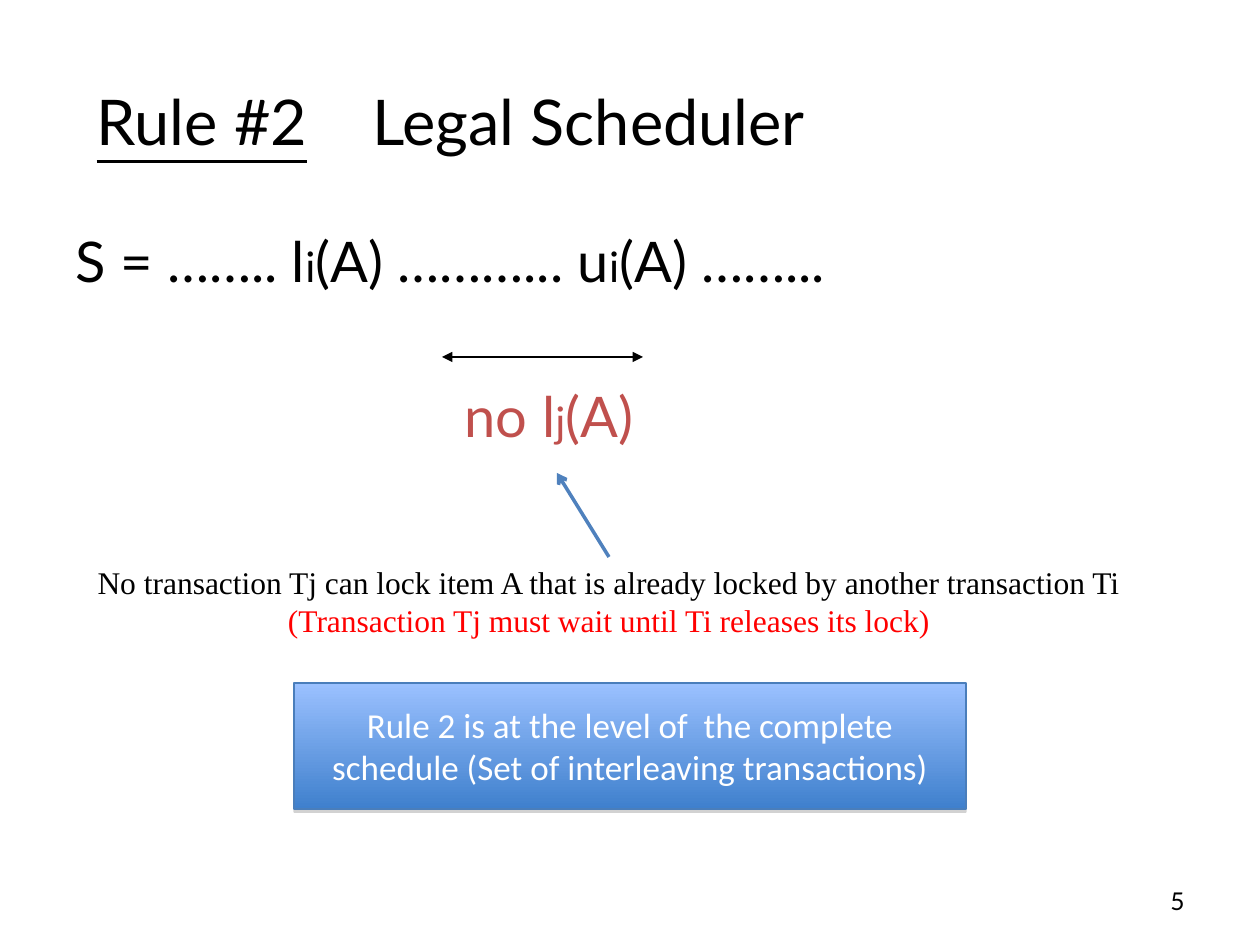
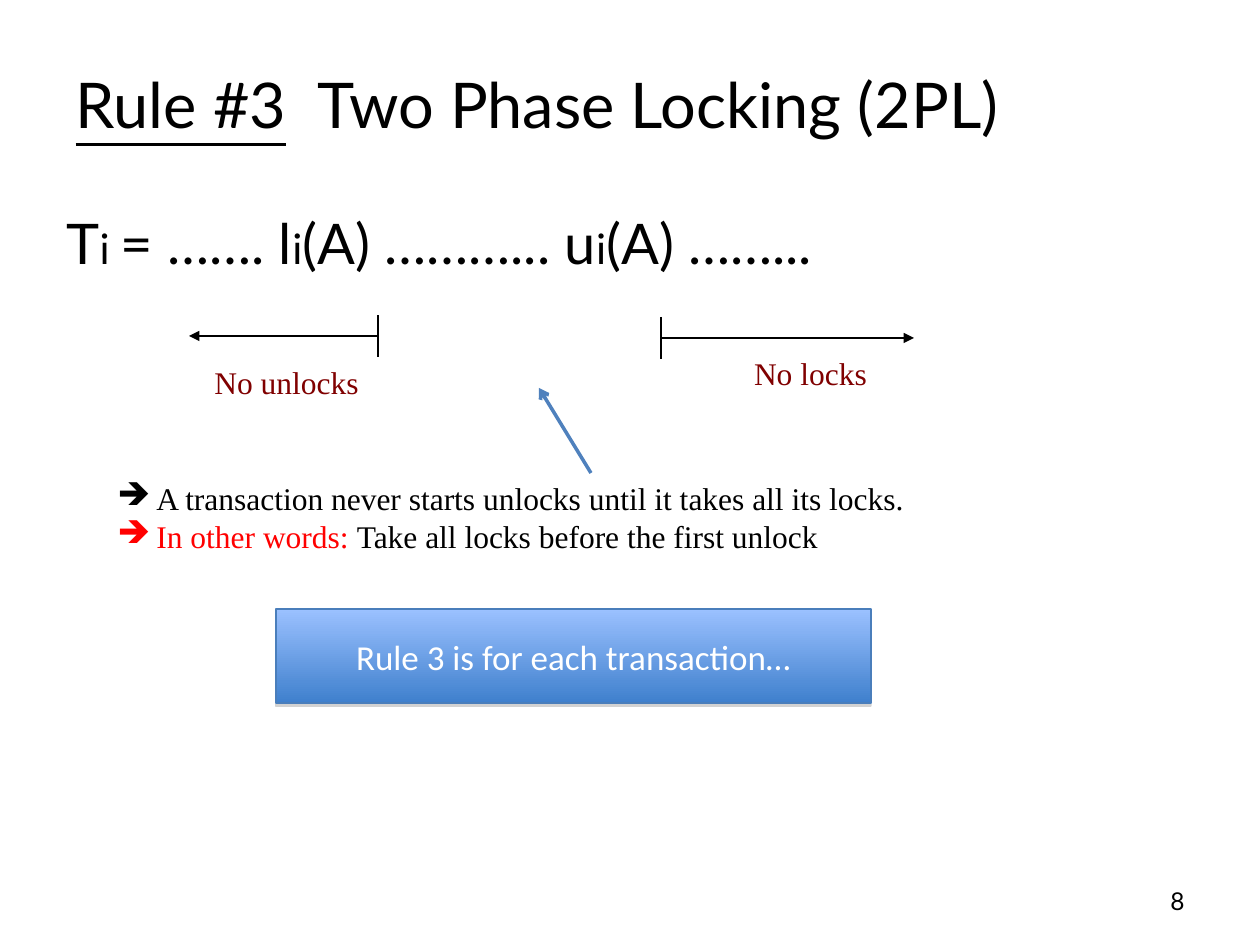
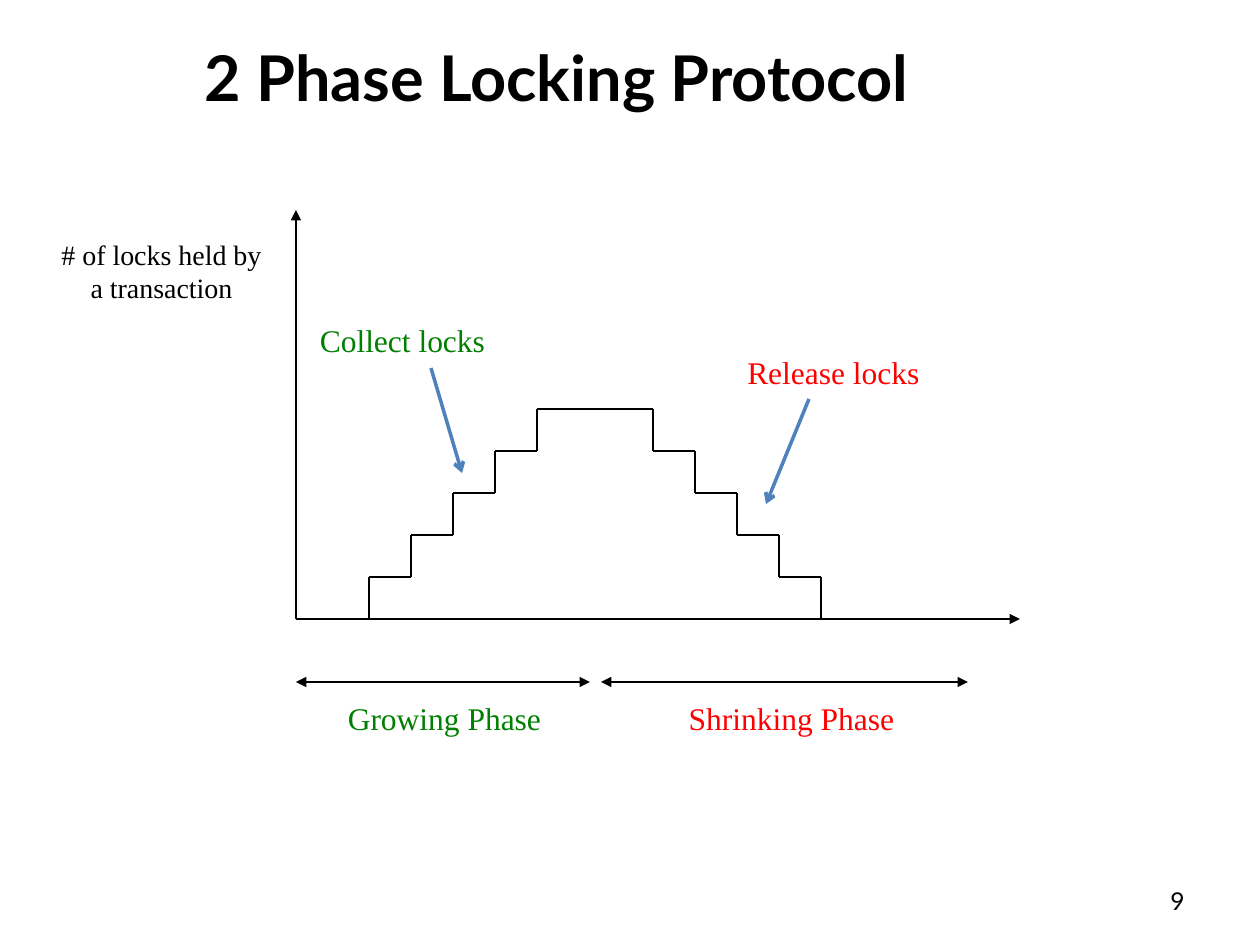
from lxml.etree import SubElement
from pptx import Presentation
from pptx.dml.color import RGBColor
from pptx.enum.shapes import MSO_CONNECTOR, MSO_SHAPE
from pptx.enum.text import MSO_ANCHOR, MSO_AUTO_SIZE, PP_ALIGN
from pptx.oxml.ns import qn
from pptx.util import Emu, Inches, Pt

BLACK = RGBColor(0x00, 0x00, 0x00)
WHITE = RGBColor(0xFF, 0xFF, 0xFF)
RED = RGBColor(0xFF, 0x00, 0x00)
GREEN = RGBColor(0x00, 0x80, 0x00)
MAROON = RGBColor(0x80, 0x00, 0x00)
BRICK = RGBColor(0xC0, 0x50, 0x4D)
BLUE = RGBColor(0x4F, 0x81, 0xBD)
EDGE = RGBColor(0x4A, 0x7E, 0xBB)
GRADIENT = RGBColor(0x9B, 0xC1, 0xFF), RGBColor(0x3F, 0x80, 0xCD)

SANS, SERIF, BOX_FONT = "Lato", "Times New Roman", "Calibri"
PX = 914400 / 126  # EMU per px
TITLE_ONLY, TITLE_BODY = 5, 1


def px(*lengths):
    return [Emu(round(n * PX)) for n in lengths]


def add(parent, tag, **attrs):
    return SubElement(parent, qn(tag), {k: str(v) for k, v in attrs.items()})


class Deck:
    def __init__(self):
        self.prs = Presentation()
        self.prs.slide_width, self.prs.slide_height = Inches(10), Inches(7.5)
        self.s = None

    def slide(self, number, layout):
        self.s = self.prs.slides.add_slide(self.prs.slide_layouts[layout])
        self.text(903, 876, 294, 50, [number], size=14, font=SANS,
                  align=PP_ALIGN.RIGHT, anchor=MSO_ANCHOR.MIDDLE)

    def fill_text(self, p, runs, size, font, color=BLACK, align=PP_ALIGN.LEFT):
        """Fill a paragraph; a run is a string or (string, its own settings)."""
        p.alignment, p.space_before = align, Pt(0)
        f = p.font
        f.size, f.name, f.color.rgb = Pt(size), font, color
        for run in runs:
            text, own = (run, {}) if isinstance(run, str) else run
            r = p.add_run()
            r.text = text
            if "size" in own:
                r.font.size = Pt(own["size"])
            if "color" in own:
                r.font.color.rgb = own["color"]
            if "underline" in own:
                r.font.underline = own["underline"]

    def frame(self, sp, anchor, wrap=True):
        tf = sp.text_frame
        tf.word_wrap, tf.auto_size = wrap, MSO_AUTO_SIZE.NONE
        tf.vertical_anchor = anchor
        return tf

    def place(self, sp, x, y, w, h):
        sp.left, sp.top, sp.width, sp.height = px(x, y, w, h)

    def title(self, x, y, w, h, runs, tab=None, bold=False):
        sp = self.s.shapes.title
        self.place(sp, x, y, w, h)
        p = self.frame(sp, MSO_ANCHOR.MIDDLE).paragraphs[0]
        if tab:
            tabs = add(p._p.get_or_add_pPr(), "a:tabLst")
            add(tabs, "a:tab", pos=px(tab)[0], algn="l")
        self.fill_text(p, runs, 36, SANS)
        p.font.bold = bold

    def formula(self, x, y, w, h, runs):
        sp = self.s.placeholders[1]
        self.place(sp, x, y, w, h)
        p = self.frame(sp, MSO_ANCHOR.TOP).paragraphs[0]
        pPr = p._p.get_or_add_pPr()
        pPr.set("marL", "0")
        pPr.set("indent", "0")
        add(pPr, "a:buNone")
        self.fill_text(p, runs, 32, SANS)

    def text(self, x, y, w, h, runs, size=18, font=SERIF, color=BLACK,
             align=PP_ALIGN.CENTER, anchor=MSO_ANCHOR.TOP, wrap=False):
        sp = self.s.shapes.add_textbox(*px(x, y, w, h))
        tf = self.frame(sp, anchor, wrap)
        self.fill_text(tf.paragraphs[0], runs, size, font, color, align)
        return sp

    def bullets(self, x, y, w, h, items):
        sp = self.s.shapes.add_textbox(*px(x, y, w, h))
        tf = self.frame(sp, MSO_ANCHOR.TOP)
        for i, (color, runs) in enumerate(items):
            p = tf.add_paragraph() if i else tf.paragraphs[0]
            pPr = p._p.get_or_add_pPr()
            indent = px(39)[0]
            pPr.set("marL", str(indent))
            pPr.set("indent", str(-indent))
            add(add(pPr, "a:buClr"), "a:srgbClr", val=color)
            add(pPr, "a:buChar", char="➔")
            self.fill_text(p, runs, 18, SERIF)

    def callout(self, x, y, w, h, text):
        sp = self.s.shapes.add_shape(MSO_SHAPE.RECTANGLE, *px(x, y, w, h))
        sp.fill.gradient()
        sp.fill.gradient_angle = 270
        for stop, color in zip(sp.fill.gradient_stops, GRADIENT):
            stop.color.rgb = color
        sp.line.color.rgb, sp.line.width = EDGE, Pt(0.75)
        # Thin grey shadow below the box
        effects = add(sp._element.spPr, "a:effectLst")
        shadow = add(effects, "a:outerShdw", blurRad=0, dist=Pt(1.8),
                     dir=5400000, rotWithShape=0)
        add(add(shadow, "a:srgbClr", val="808080"), "a:alpha", val=35000)
        p = self.frame(sp, MSO_ANCHOR.MIDDLE).paragraphs[0]
        self.fill_text(p, [text], 20, BOX_FONT, WHITE, PP_ALIGN.CENTER)

    def line(self, x1, y1, x2, y2, color=BLACK, width=0.75, head=None, tail=None):
        c = self.s.shapes.add_connector(MSO_CONNECTOR.STRAIGHT, *px(x1, y1, x2, y2))
        c.line.color.rgb, c.line.width = color, Pt(width)
        ln = c.line._get_or_add_ln()
        for tag, kind in (("a:headEnd", head), ("a:tailEnd", tail)):
            if kind:
                add(ln, tag, type=kind)
        add(c._element.spPr, "a:effectLst")
        return c

    def axis(self, x1, y1, x2, y2):
        self.line(x1, y1, x2, y2, tail="triangle")

    def span(self, x1, x2, y):
        self.line(x1, y, x2, y, head="triangle", tail="triangle")

    def pointer(self, x1, y1, x2, y2):
        return self.line(x1, y1, x2, y2, BLUE, 2, tail="arrow")


def legal_scheduler(d, sub):
    d.slide("5", TITLE_BODY)
    d.title(84, 42, 1071, 157,
            [("Rule #2", {"underline": True}), "\tLegal Scheduler"], tab=276)
    d.formula(63, 220, 1134, 624,
              ["S = …….. l", sub("i"), "(A) ………... u", sub("i"), "(A) ……..."])
    d.span(442, 643, 357)
    d.text(440, 375, 218, 81, ["no l", sub("j"), "(A)"], 32, SANS, BRICK,
           anchor=MSO_ANCHOR.MIDDLE)
    note = d.text(83, 557, 1052, 88, [
        "No transaction Tj can lock item A that is already locked by another transaction Ti"])
    d.fill_text(note.text_frame.add_paragraph(),
                ["(Transaction Tj must wait until Ti releases its lock)"],
                18, SERIF, RED, PP_ALIGN.CENTER)
    d.pointer(609, 557, 557, 473).begin_connect(note, 0)
    d.callout(294, 683, 672, 126, "Rule 2 is at the level of  the complete "
              "schedule (Set of interleaving transactions)")


def two_phase_locking(d, sub):
    d.slide("8", TITLE_BODY)
    d.title(63, 38, 1134, 130,
            [("Rule #3", {"underline": True}), "\tTwo Phase Locking (2PL)"], tab=242)
    d.formula(54, 202, 1134, 103,
              ["T", sub("i "), "= ……. l", sub("i"), "(A) ………... u", sub("i"),
               "(A) ……..."])
    # Ranges that start at a bar and run outwards
    for bar, end, y in ((378, 189, 336), (661, 914, 338)):
        d.axis(bar, y, end, y)
        d.line(bar, y - 21, bar, y + 21)
    d.text(202, 357, 169, 50, ["No unlocks"], color=MAROON)
    d.text(742, 348, 137, 50, ["No locks"], color=MAROON)
    d.pointer(591, 473, 539, 388)
    d.bullets(105, 473, 888, 88, [
        (BLACK, ["A transaction never starts unlocks until it takes all its locks."]),
        (RED, [("In other words: ", {"color": RED}),
               "Take all locks before the first unlock"])])
    d.callout(276, 609, 595, 94, "Rule 3 is for each transaction…")


def locking_protocol(d):
    d.slide("9", TITLE_ONLY)
    d.title(192, 32, 823, 88, ["2 Phase Locking Protocol"], bold=True)
    # Axes
    origin, base = 296, 619
    d.axis(origin, base, 1020, base)
    d.axis(origin, base, origin, 210)
    d.text(42, 231, 239, 81, ["# of locks held by a transaction"], 16, wrap=True)
    # Stairs rising from the left and falling to the right, meeting in the middle
    step, steps, left, right = 42, 5, 369, 821
    middle = (left + right) // 2
    for foot, way in ((left, 1), (right, -1)):
        for i in range(steps):
            x, y = foot + way * step * i, base - step * i
            end = middle if i == steps - 1 else x + way * step
            d.line(x, y, x, y - step)
            d.line(x, y - step, end, y - step)
    # Phases
    d.span(origin, 590, 682)
    d.span(601, 968, 682)
    for x, y, label, color in ((325, 693, "Growing Phase", GREEN),
                               (672, 693, "Shrinking Phase", RED),
                               (283, 315, "Collect locks", GREEN),
                               (714, 347, "Release locks", RED)):
        d.text(x, y, 239, 50, [label], color=color)
    d.pointer(431, 368, 462, 473)
    d.pointer(809, 399, 766, 504)


def main():
    d = Deck()

    def sub(text):
        return text, {"size": 24}

    legal_scheduler(d, sub)
    two_phase_locking(d, sub)
    locking_protocol(d)
    d.prs.save("out.pptx")


if __name__ == "__main__":
    main()
